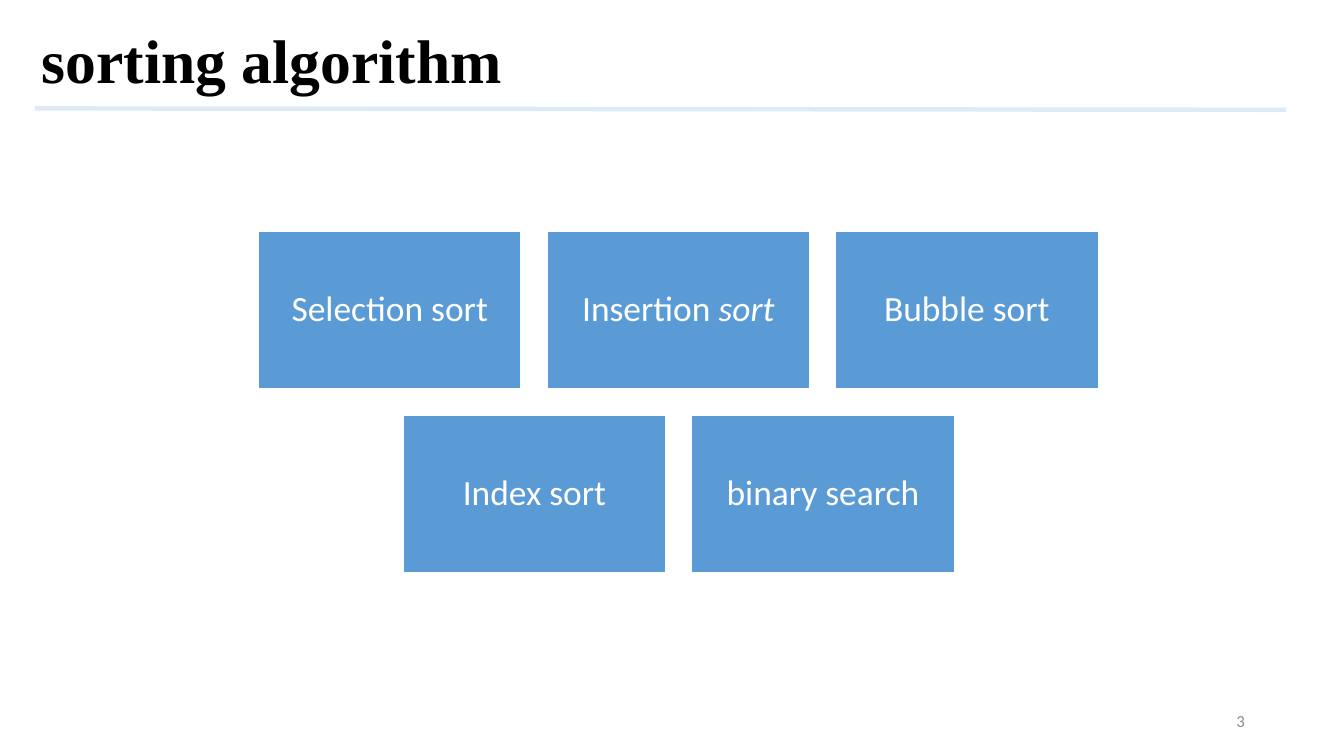
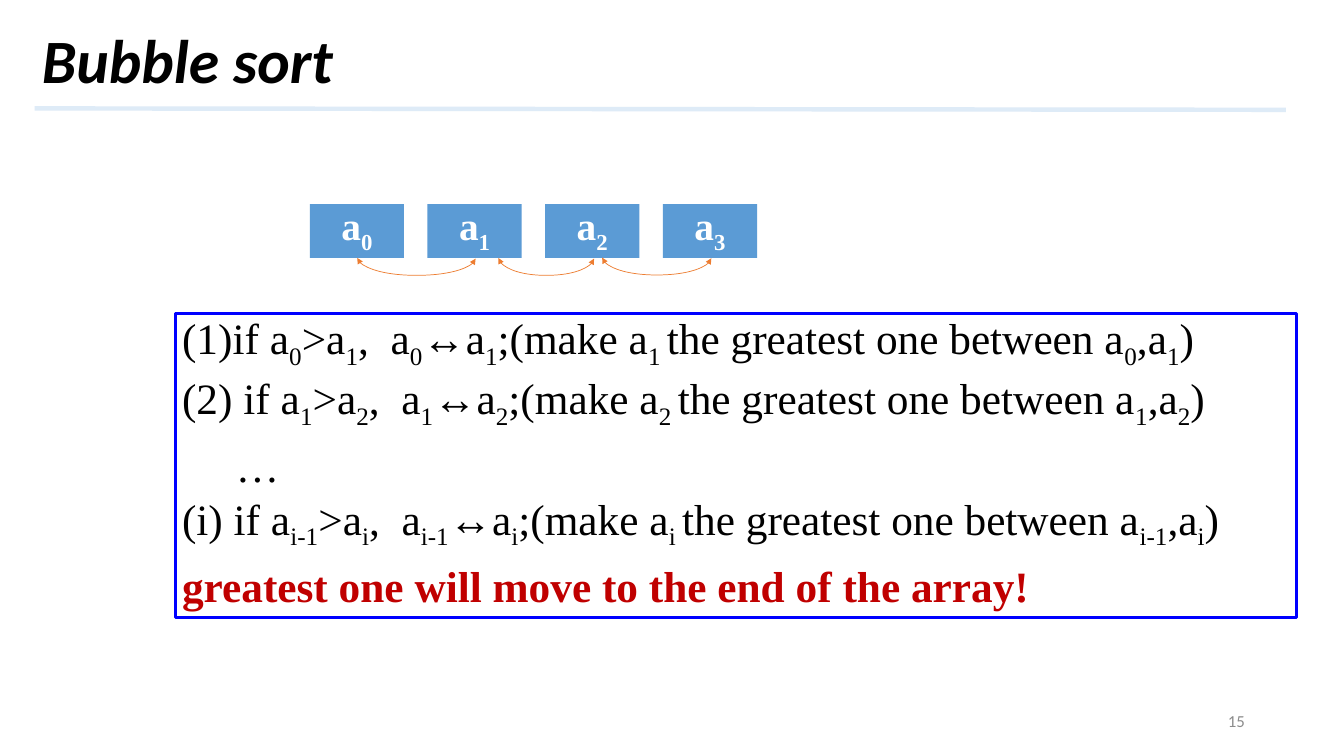
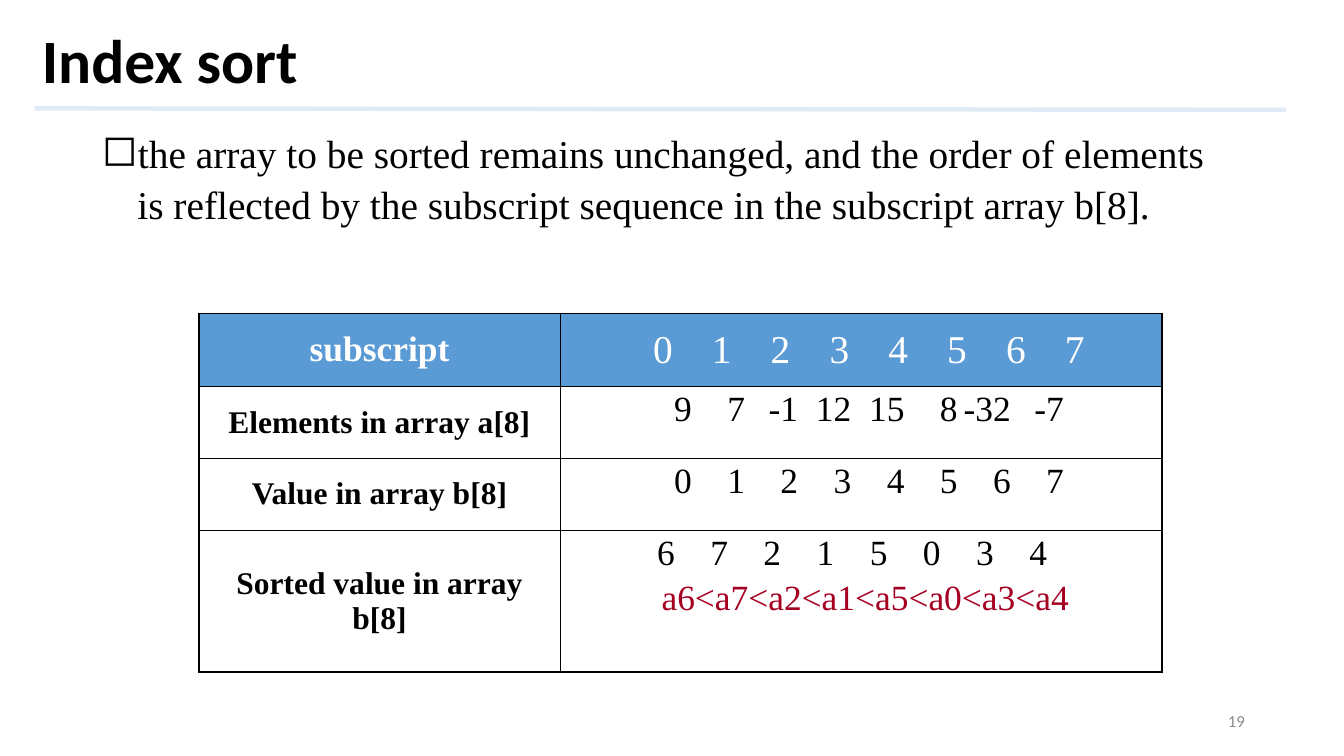
from lxml.etree import SubElement
from pptx import Presentation
from pptx.dml.color import RGBColor
from pptx.enum.shapes import MSO_CONNECTOR as Connector, MSO_SHAPE as Preset
from pptx.enum.text import MSO_ANCHOR as Anchor, MSO_AUTO_SIZE as AutoSize, PP_ALIGN as Align
from pptx.oxml.ns import qn
from pptx.util import Emu, Pt

SCALE = 9144
SERIF = "Times New Roman"
SANS = "Calibri"
BLACK, WHITE, BLUE = "000000", "FFFFFF", "5B9BD5"
RULE, ORANGE, FRAME = "DEEBF7", "ED7D31", "0000FF"
GREY, RED, CRIMSON = "8C8C8C", "C00000", "A50021"


def px(length):
    return Emu(length * SCALE)


def color(value):
    return RGBColor.from_string(value)


def add_xml(parent, tag, **attributes):
    return SubElement(parent, qn(tag), attributes)


def write(paragraph, text, size=36, ink=BLACK, font=SERIF, bold=False, italic=False,
          align=Align.LEFT, spacing=None, before=None):
    paragraph.alignment = align
    if spacing is not None:
        paragraph.line_spacing = spacing
    if before is not None:
        paragraph.space_before = Pt(before)
    for position, part in enumerate(text.split("~")):
        if not part:
            continue
        run = paragraph.add_run()
        run.text = part
        run.font.size = Pt(size)
        run.font.name = font
        run.font.bold = bold
        run.font.italic = italic
        run.font.color.rgb = color(ink)
        if position % 2:
            run._r.get_or_add_rPr().set("baseline", "-25000")


def add_tabs(paragraph, first, step, count):
    tabs = add_xml(paragraph._p.get_or_add_pPr(), "a:tabLst")
    for index in range(count):
        add_xml(tabs, "a:tab", pos=str(px(first + step * index)), algn="r")


def indent(paragraph, margin, hanging=0):
    properties = paragraph._p.get_or_add_pPr()
    properties.set("marL", str(px(margin)))
    properties.set("indent", str(px(-hanging)))
    return properties


class Deck:
    def __init__(self):
        self.presentation = Presentation()
        self.presentation.slide_width = px(1896)
        self.presentation.slide_height = px(1067)
        self.slide = None

    def add_slide(self, title, number, **style):
        layout = self.presentation.slide_layouts[5]
        self.slide = self.presentation.slides.add_slide(layout)
        self.line(Connector.STRAIGHT, 49, 153, 1814, 155, RULE, 4.5)
        heading = self.slide.shapes.title
        heading.left, heading.top, heading.width, heading.height = map(px, (49, 6, 1848, 167))
        frame = self.frame(heading, Anchor.MIDDLE)
        write(frame.paragraphs[0], title, size=62.6, bold=True, spacing=0.9, **style)
        frame = self.text_box(1339, 989, 427, 57, Anchor.MIDDLE)
        write(frame.paragraphs[0], number, size=17.1, ink=GREY, font=SANS, align=Align.RIGHT)

    def frame(self, shape, anchor, wrap=True):
        frame = shape.text_frame
        frame.auto_size = AutoSize.NONE
        frame.word_wrap = wrap
        frame.vertical_anchor = anchor
        return frame

    def text_box(self, left, top, width, height, anchor=Anchor.TOP):
        box = self.slide.shapes.add_textbox(*map(px, (left, top, width, height)))
        return self.frame(box, anchor)

    def rectangle(self, left, top, width, height, fill=BLUE, outline=None, weight=1,
                  anchor=Anchor.MIDDLE, wrap=True):
        shape = self.slide.shapes.add_shape(Preset.RECTANGLE, *map(px, (left, top, width, height)))
        shape.shadow.inherit = False
        shape.fill.solid()
        shape.fill.fore_color.rgb = color(fill)
        if outline:
            shape.line.color.rgb = color(outline)
            shape.line.width = Pt(weight)
        else:
            shape.line.fill.background()
        return self.frame(shape, anchor, wrap)

    def line(self, kind, x1, y1, x2, y2, ink, weight):
        line = self.slide.shapes.add_connector(kind, *map(px, (x1, y1, x2, y2)))
        line.line.color.rgb = color(ink)
        line.line.width = Pt(weight)
        add_xml(line._element.spPr, "a:effectLst")
        return line

    def swap_arrow(self, start, end, y, depth):
        span = end - start
        middle = (start + end) // 2
        top = y - span // 2
        arrow = self.line(Connector.CURVE, middle + 1, top, middle, top + span, ORANGE, 0.75)
        arrow.rotation = 270
        geometry = arrow._element.spPr.find(qn("a:prstGeom"))
        guides = geometry.find(qn("a:avLst"))
        if guides is None:
            guides = add_xml(geometry, "a:avLst")
        add_xml(guides, "a:gd", name="adj1", fmla=f"val {depth * 100000}")
        outline = arrow.line._get_or_add_ln()
        for end_tag in ("a:headEnd", "a:tailEnd"):
            add_xml(outline, end_tag, type="triangle")

    def table(self, left, top, widths, heights):
        shape = self.slide.shapes.add_table(
            len(heights), len(widths),
            *map(px, (left, top, sum(widths), sum(heights))))
        table = shape.table
        table.horz_banding = False
        for column, width in zip(table.columns, widths):
            column.width = px(width)
        for row, height in zip(table.rows, heights):
            row.height = px(height)
        for row in range(len(heights)):
            for column in range(len(widths)):
                thick = {"L": column == 0, "R": column == len(widths) - 1,
                         "T": False, "B": row == len(heights) - 1}
                self.cell(table.cell(row, column), thick, BLUE if row == 0 else None)
        return table

    def cell(self, cell, thick, fill):
        properties = cell._tc.get_or_add_tcPr()
        for side, is_thick in thick.items():
            border = add_xml(properties, f"a:ln{side}", w=str(Pt(2.25 if is_thick else 1)))
            add_xml(add_xml(border, "a:solidFill"), "a:srgbClr", val=BLACK)
        if fill:
            cell.fill.solid()
            cell.fill.fore_color.rgb = color(fill)
        else:
            cell.fill.background()


def build_overview(deck):
    deck.add_slide("sorting algorithm", "3", font=SERIF)
    width, height, gap, center = 370, 222, 37, 957
    rows = [
        [("Selection sort", ""), ("Insertion", " sort"), ("Bubble sort", "")],
        [("Index sort", ""), ("binary search", "")],
    ]
    style = dict(ink=WHITE, font=SANS, align=Align.CENTER, spacing=0.9)
    for row, names in enumerate(rows):
        left = center - (len(names) * (width + gap) - gap) // 2
        for column, (name, slanted) in enumerate(names):
            frame = deck.rectangle(left + column * (width + gap), 327 + row * (height + gap),
                                   width, height, outline=WHITE)
            write(frame.paragraphs[0], name, **style)
            write(frame.paragraphs[0], slanted, italic=True, **style)


def swap_step(label, low, high):
    return (f"{label}a~{low}~>a~{high}~,  a~{low}~↔a~{high}~;(make a~{high} ~"
            f"the greatest one between a~{low}~,a~{high}~)")


def build_bubble_sort(deck):
    deck.add_slide("Bubble sort", "15", font=SANS, italic=True)
    for index in range(4):
        frame = deck.rectangle(437 + 166 * index, 288, 133, 76, wrap=False)
        write(frame.paragraphs[0], f"a~{index}~", size=40, ink=WHITE, bold=True,
              align=Align.CENTER, spacing=Pt(48))
    for start, end in ((504, 671), (849, 1003), (703, 838)):
        deck.swap_arrow(start, end, 364, 25)
    frame = deck.rectangle(247, 442, 1582, 429, fill=WHITE, outline=FRAME, weight=3,
                           anchor=Anchor.TOP)
    steps = [
        (swap_step("(1)if ", 0, 1), {}),
        (swap_step("(2) if ", 1, 2), {}),
        ("…", {}),
        (swap_step("(i) if ", "i-1", "i"), {}),
        ("greatest one will move to the end of the array!", dict(ink=RED, bold=True)),
    ]
    for index, (text, style) in enumerate(steps):
        paragraph = frame.add_paragraph() if index else frame.paragraphs[0]
        write(paragraph, text, size=44, spacing=Pt(55), before=6 if index else None, **style)
        if text == "…":
            indent(paragraph, 76)


def build_index_sort(deck):
    deck.add_slide("Index sort", "19", font=SANS)
    paragraph = deck.text_box(134, 172, 1608, 151).paragraphs[0]
    properties = indent(paragraph, 50, 50)
    add_xml(properties, "a:buSzPct", val="110000")
    add_xml(properties, "a:buChar", char="◻")
    write(paragraph, "the array to be sorted remains unchanged, and the order of elements is "
          "reflected by the subscript sequence in the subscript array b[8].",
          size=40, spacing=Pt(52))
    table = deck.table(281, 442, (509, 849), (104, 101, 101, 201))
    rows = [
        ("subscript", range(8), 149, 83),
        ("Elements in array a[8]", (9, 7, -1, 12, 15, 8, -32, -7), 176, 75),
        ("Value in array b[8]", range(8), 176, 75),
        ("Sorted value in array b[8]", (6, 7, 2, 1, 5, 0, 3, 4), 152, 75),
    ]
    for row, (label, values, first, step) in enumerate(rows):
        is_header = row == 0
        ink = WHITE if is_header else BLACK
        name_cell, value_cell = table.cell(row, 0), table.cell(row, 1)
        name_cell.vertical_anchor = Anchor.MIDDLE
        value_cell.vertical_anchor = Anchor.MIDDLE if is_header else Anchor.TOP
        write(name_cell.text_frame.paragraphs[0], label, size=36 if is_header else 32,
              ink=ink, bold=True, align=Align.CENTER)
        paragraph = value_cell.text_frame.paragraphs[0]
        add_tabs(paragraph, first, step, len(values))
        write(paragraph, "".join(f"\t{value}" for value in values),
              size=40 if is_header else 36, ink=ink)
    order = "<".join(f"a{value}" for value in rows[-1][1])
    write(table.cell(3, 1).text_frame.add_paragraph(), f" {order}", ink=CRIMSON,
          align=Align.CENTER, before=6)


def main():
    deck = Deck()
    build_overview(deck)
    build_bubble_sort(deck)
    build_index_sort(deck)
    deck.presentation.save("out.pptx")


if __name__ == "__main__":
    main()
